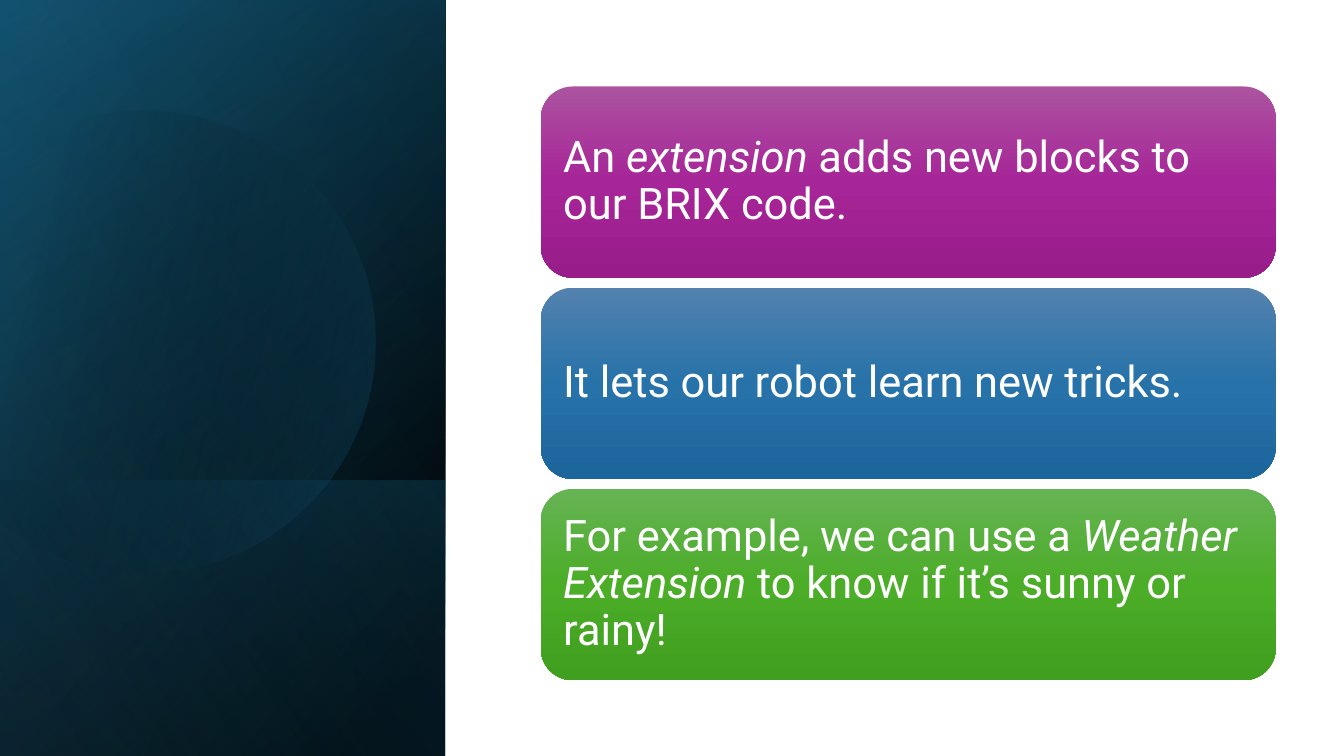
from dataclasses import dataclass
from math import cos, radians, sin

from lxml.etree import SubElement
from pptx import Presentation
from pptx.dml.color import RGBColor
from pptx.enum.shapes import MSO_SHAPE
from pptx.enum.text import MSO_ANCHOR, PP_ALIGN
from pptx.oxml.ns import qn
from pptx.shapes.autoshape import Shape
from pptx.slide import Slide
from pptx.util import Cm, Pt

RECT = MSO_SHAPE.RECTANGLE
ROUND = MSO_SHAPE.ROUNDED_RECTANGLE
MIDDLE = MSO_ANCHOR.MIDDLE
LEFT = PP_ALIGN.LEFT

BLACK = RGBColor(0x00, 0x00, 0x00)
WHITE = RGBColor(0xFF, 0xFF, 0xFF)
NAVY = RGBColor(0x10, 0x48, 0x62)
TEAL = RGBColor(0x15, 0x60, 0x82)
SKY = RGBColor(0x46, 0xB1, 0xE1)
PLUM = (RGBColor(0xAC, 0x53, 0xA0), RGBColor(0xA6, 0x25, 0x98), RGBColor(0x99, 0x1C, 0x8B))
BLUE = (RGBColor(0x53, 0x82, 0xAF), RGBColor(0x27, 0x72, 0xA9), RGBColor(0x1D, 0x66, 0x9C))
GREEN = (RGBColor(0x66, 0xB3, 0x54), RGBColor(0x4B, 0xAD, 0x28), RGBColor(0x40, 0x9F, 0x1E))

FONT = "Roboto"
WIDE, TALL = 11.22, 19.05
CARD_X, CARD_Y, CARD_W, CARD_H, PITCH = 13.63, 2.18, 18.52, 4.82, 5.07
INSET = 0.33
DISC_X, DISC_Y, RADIUS, TILT, STEPS = 3.63, 8.5, 5.81, 16.1, 90


@dataclass
class Stop:
    pos: int
    color: RGBColor
    alpha: int = 100


@dataclass
class Panel:
    top: float
    tall: float
    stops: list[Stop]
    angle: int


@dataclass
class Card:
    tones: tuple[RGBColor, ...]
    runs: list[tuple[str, bool]]


BACK = [
    Panel(0, TALL, [Stop(8, BLACK), Stop(100, NAVY)], 50),
    Panel(0, TALL, [Stop(0, BLACK, 0), Stop(99, TEAL, 46)], 30),
    Panel(12.1, 6.95, [Stop(2, TEAL, 29), Stop(100, BLACK, 30)], 130),
]
DISC = [Stop(29, BLACK, 0), Stop(100, TEAL, 43)]
GLOW = Panel(0, TALL, [Stop(0, BLACK, 0), Stop(99, SKY, 11)], 120)

CARDS = [
    Card(PLUM, [("An ", False), ("extension", True),
                (" adds new blocks to our BRIX code.", False)]),
    Card(BLUE, [("It lets our robot learn new tricks.", False)]),
    Card(GREEN, [("For example, we can use a ", False), ("Weather Extension", True),
                 (" to know if it’s sunny or rainy!", False)]),
]


def shade(shape: Shape, stops: list[Stop], angle: int) -> None:
    shape.shadow.inherit = False
    shape.line.fill.background()
    shape.fill.gradient()
    grad = shape._element.spPr.find(qn("a:gradFill"))
    grad.clear()
    grad.set("rotWithShape", "1")
    items = SubElement(grad, qn("a:gsLst"))
    for stop in stops:
        item = SubElement(items, qn("a:gs"), pos=str(stop.pos * 1000))
        color = SubElement(item, qn("a:srgbClr"), val=str(stop.color))
        if stop.alpha < 100:
            SubElement(color, qn("a:alpha"), val=str(stop.alpha * 1000))
    SubElement(grad, qn("a:lin"), ang=str(angle * 60000), scaled="0")


def draw_panel(slide: Slide, panel: Panel) -> None:
    shift = (WIDE - panel.tall) / 2
    shape = slide.shapes.add_shape(
        RECT, Cm(shift), Cm(panel.top - shift), Cm(panel.tall), Cm(WIDE))
    shape.rotation = 90
    shape._element.spPr.xfrm.set("flipH", "1")
    shade(shape, panel.stops, panel.angle)


def draw_disc(slide: Slide) -> None:
    start, end = TILT - 134, TILT + 134
    turns = [radians(start + (end - start) * i / STEPS) for i in range(STEPS + 1)]
    points = [(Cm(DISC_X + RADIUS * cos(t)), Cm(DISC_Y + RADIUS * sin(t))) for t in turns]
    outline = slide.shapes.build_freeform(*points[0])
    outline.add_line_segments(points[1:], close=True)
    shape = outline.convert_to_shape()
    shape.rotation = 360 - TILT
    shade(shape, DISC, 30)


def draw_card(slide: Slide, card: Card, top: float) -> None:
    shape = slide.shapes.add_shape(ROUND, Cm(CARD_X), Cm(top), Cm(CARD_W), Cm(CARD_H))
    shade(shape, [Stop(50 * i, tone) for i, tone in enumerate(card.tones)], 90)
    frame = shape.text_frame
    frame.word_wrap = True
    frame.vertical_anchor = MIDDLE
    frame.margin_left = frame.margin_right = Cm(INSET)
    frame.margin_top = frame.margin_bottom = Cm(INSET)
    para = frame.paragraphs[0]
    para.alignment = LEFT
    para.line_spacing = 0.9
    para.font.name = FONT
    para.font.size = Pt(31)
    para.font.color.rgb = WHITE
    for text, slant in card.runs:
        run = para.add_run()
        run.text = text
        if slant:
            run.font.italic = True


def main() -> None:
    deck = Presentation()
    deck.slide_width, deck.slide_height = Cm(33.87), Cm(TALL)
    slide = deck.slides.add_slide(deck.slide_layouts[6])
    for panel in BACK:
        draw_panel(slide, panel)
    draw_disc(slide)
    draw_panel(slide, GLOW)
    for i, card in enumerate(CARDS):
        draw_card(slide, card, CARD_Y + i * PITCH)
    deck.save("out.pptx")


if __name__ == "__main__":
    main()
